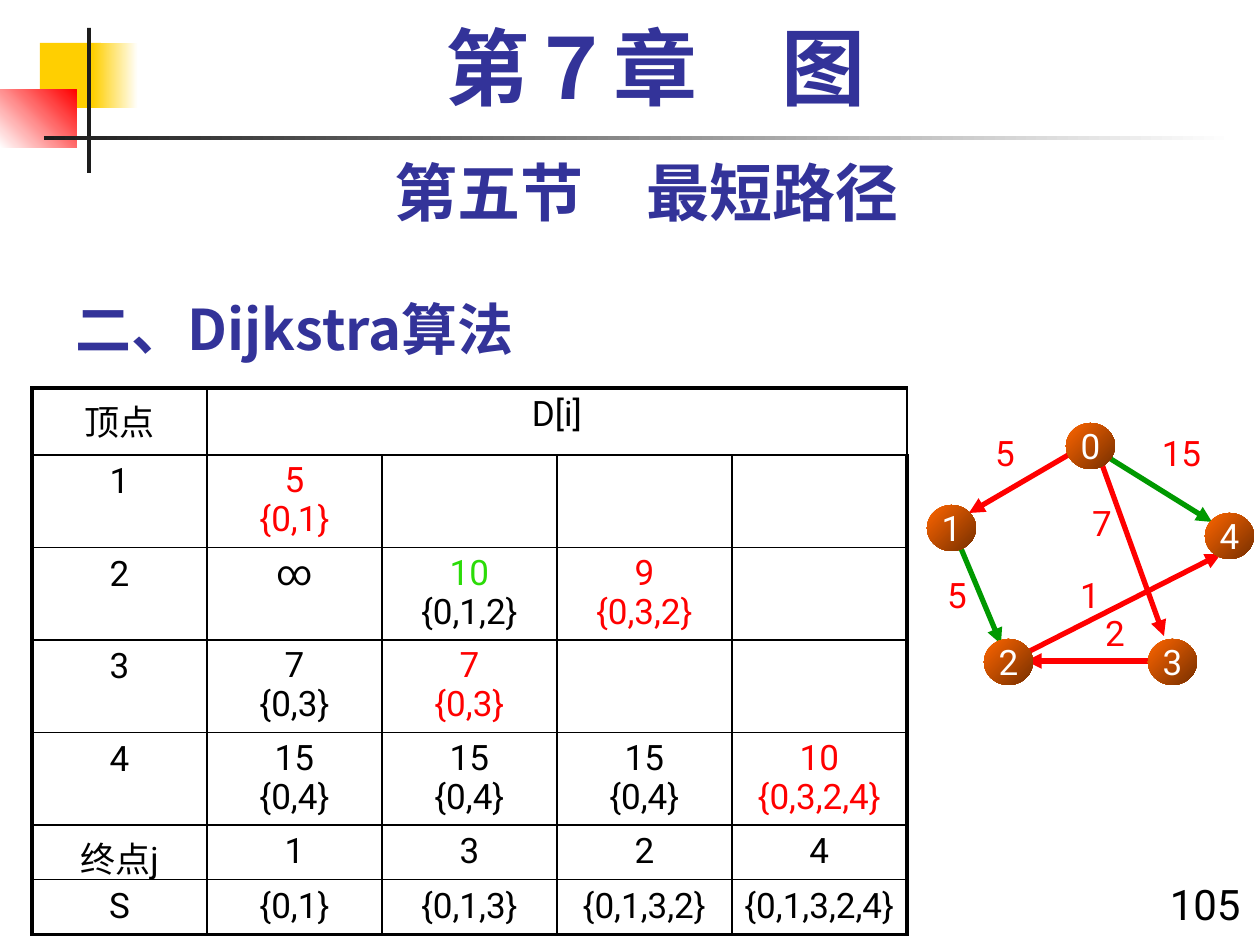
from pptx import Presentation
from pptx.dml.color import RGBColor
from pptx.enum.shapes import MSO_CONNECTOR as Link, MSO_SHAPE as Form
from pptx.enum.text import MSO_ANCHOR as Anchor, MSO_AUTO_SIZE as Fit, PP_ALIGN as Align
from pptx.oxml.ns import qn
from pptx.util import Pt
from lxml.etree import SubElement as Sub

INK, BLUE, RED, GREEN, LIME = "000000", "333399", "FF0000", "009900", "2BDC08"
DARK, GOLD, WHITE = "1C1C1C", "FFCF01", "FFFFFF"
HAN = "Noto Sans CJK SC"


def px(n):
    return round(n * 914400 / 126)


def hue(code):
    return RGBColor.from_string(code)


class Deck:
    """Holds the style and the current slide."""

    def __init__(self):
        self.file = Presentation()
        self.file.slide_width, self.file.slide_height = px(1260), px(945)
        self.slide = self.file.slides.add_slide(self.file.slide_layouts[5])
        self.on = self.slide.shapes
        self.face = {"name": "Roboto", "size": Pt(20), "bold": False}

    def words(self, frame, text, tint=INK, align=Align.CENTER, lead=None, **face):
        frame.text = text
        tints = tint if isinstance(tint, list) else [tint] * len(frame.paragraphs)
        for para, code in zip(frame.paragraphs, tints):
            para.alignment, para.line_spacing = align, lead
            for run in para.runs:
                for key, value in {**self.face, **face}.items():
                    setattr(run.font, key, value)
                run.font.color.rgb = hue(code)
                Sub(run.font._element, qn("a:ea")).set("typeface", HAN)

    def title(self, box, text, **look):
        head = self.slide.shapes.title
        head.left, head.top, head.width, head.height = map(px, box)
        frame = head.text_frame
        frame.auto_size, frame.vertical_anchor = Fit.NONE, Anchor.BOTTOM
        self.words(frame, text, **look)

    def text(self, box, text, **look):
        frame = self.on.add_textbox(*map(px, box)).text_frame
        frame.word_wrap = True
        self.words(frame, text, **look)

    def shape(self, form, box, tints, angle=0):
        shape = self.on.add_shape(form, *map(px, box))
        shape.shadow.inherit = False
        shape.line.fill.background()
        if len(tints) == 1:
            shape.fill.solid()
            shape.fill.fore_color.rgb = hue(tints[0])
        else:
            shape.fill.gradient()
            shape.fill.gradient_angle = angle
            for stop, code, spot in zip(shape.fill.gradient_stops, tints, (0, 1)):
                stop.color.rgb, stop.position = hue(code), spot
        return shape

    def node(self, x, y, text):
        frame = self.shape(Form.OVAL, (x, y, 49, 46), ("FF6600", "762F00"), 315).text_frame
        form = {"margin_left": 0, "margin_right": 0, "word_wrap": False,
                "vertical_anchor": Anchor.MIDDLE}
        for key, value in form.items():
            setattr(frame, key, value)
        self.words(frame, text, WHITE)

    def arrow(self, ends, tint):
        line = self.on.add_connector(Link.STRAIGHT, *map(px, ends))
        line.line.width, line.line.color.rgb = Pt(3), hue(tint)
        Sub(line.line._get_or_add_ln(), qn("a:tailEnd")).set("type", "triangle")
        Sub(line._element.spPr, qn("a:effectLst"))

    def edge(self, cell, side, width):
        line = Sub(cell._tc.get_or_add_tcPr(), qn("a:ln" + side), w=str(Pt(width)))
        Sub(Sub(line, qn("a:solidFill")), qn("a:srgbClr")).set("val", INK)

    def table(self, box, highs, rows):
        wide = len(rows[-1])
        grid = self.on.add_table(len(rows), wide, *map(px, box)).table
        grid.first_row = grid.horz_banding = False
        for col in grid.columns:
            col.width = px(box[2] / wide)
        for r, (row, high) in enumerate(zip(rows, highs)):
            grid.rows[r].height = px(high)
            for c in range(wide):
                cell = grid.cell(r, c)
                cell.margin_left = cell.margin_right = 0
                outer = {"L": c == 0, "R": c == wide - 1, "T": r == 0, "B": r == len(rows) - 1}
                for side, thick in outer.items():
                    self.edge(cell, side, 2.25 if thick else 1)
                cell.fill.background()
                item = row[c] if c < len(row) else ""
                text, tint = item if isinstance(item, tuple) else (item, INK)
                if text:
                    lead = 0.95 if c and 0 < r < 5 else None
                    self.words(cell.text_frame, text, tint, lead=lead)
        grid.cell(0, 1).merge(grid.cell(0, wide - 1))


def main():
    deck = Deck()
    bars = [((40, 43, 61, 65), [GOLD], 0), ((93, 43, 45, 65), [GOLD, WHITE], 0),
            ((0, 90, 77, 58), [WHITE, RED], 45), ((87, 28, 4, 145), [DARK], 0),
            ((44, 136, 1191, 4), [DARK, WHITE], 0)]
    for box, tints, angle in bars:
        deck.shape(Form.RECTANGLE, box, tints, angle)

    deck.title((63, 273, 1197, 95), "二、Dijkstra算法", tint=BLUE, align=Align.LEFT,
               name=HAN, size=Pt(32), bold=True)
    deck.text((63, 147, 1166, 88), "第五节　最短路径", tint=BLUE, size=Pt(36), bold=True)
    deck.text((84, 21, 1144, 105), "第７章　图", tint=BLUE, lead=0.9,
              name="Times New Roman", size=Pt(48), bold=True)

    rows = [["顶点", "D[i]"],
            ["1", ("5\n{0,1}", RED)],
            ["2", "∞", ("10\n{0,1,2}", [LIME, INK]), ("9\n{0,3,2}", RED)],
            ["3", "7\n{0,3}", ("7\n{0,3}", RED)],
            ["4"] + ["15\n{0,4}"] * 3 + [("10\n{0,3,2,4}", RED)],
            ["终点j", "1", "3", "2", "4"],
            ["S", "{0,1}", "{0,1,3}", "{0,1,3,2}", "{0,1,3,2,4}"]]
    deck.table((32, 388, 875, 545), [67] + [92] * 4 + [54] * 2, rows)

    page = deck.on
    deck.on = page.add_group_shape().shapes
    arcs = [((1106, 456, 1212, 522), GREEN), ((960, 546, 1001, 644), GREEN),
            ((1082, 447, 969, 513), RED), ((1099, 456, 1164, 636), RED),
            ((1148, 661, 1026, 661), RED), ((1026, 653, 1221, 554), RED)]
    for ends, tint in arcs:
        deck.arrow(ends, tint)
    nodes = [(1066, 423), (927, 505), (984, 639), (1148, 639), (1205, 513)]
    for name, (x, y) in enumerate(nodes):
        deck.node(x, y, str(name))
    costs = [(975, 425, 60, "5"), (927, 567, 60, "5"), (1133, 425, 97, "15"),
             (1060, 567, 60, "1"), (1072, 495, 60, "7"), (1085, 605, 60, "2")]
    for x, y, wide, cost in costs:
        deck.text((x, y, wide, 54), cost, tint=RED)

    deck.on = page
    deck.text((1145, 872, 108, 63), "105", align=Align.RIGHT, size=Pt(24))
    deck.file.save("out.pptx")


if __name__ == "__main__":
    main()
